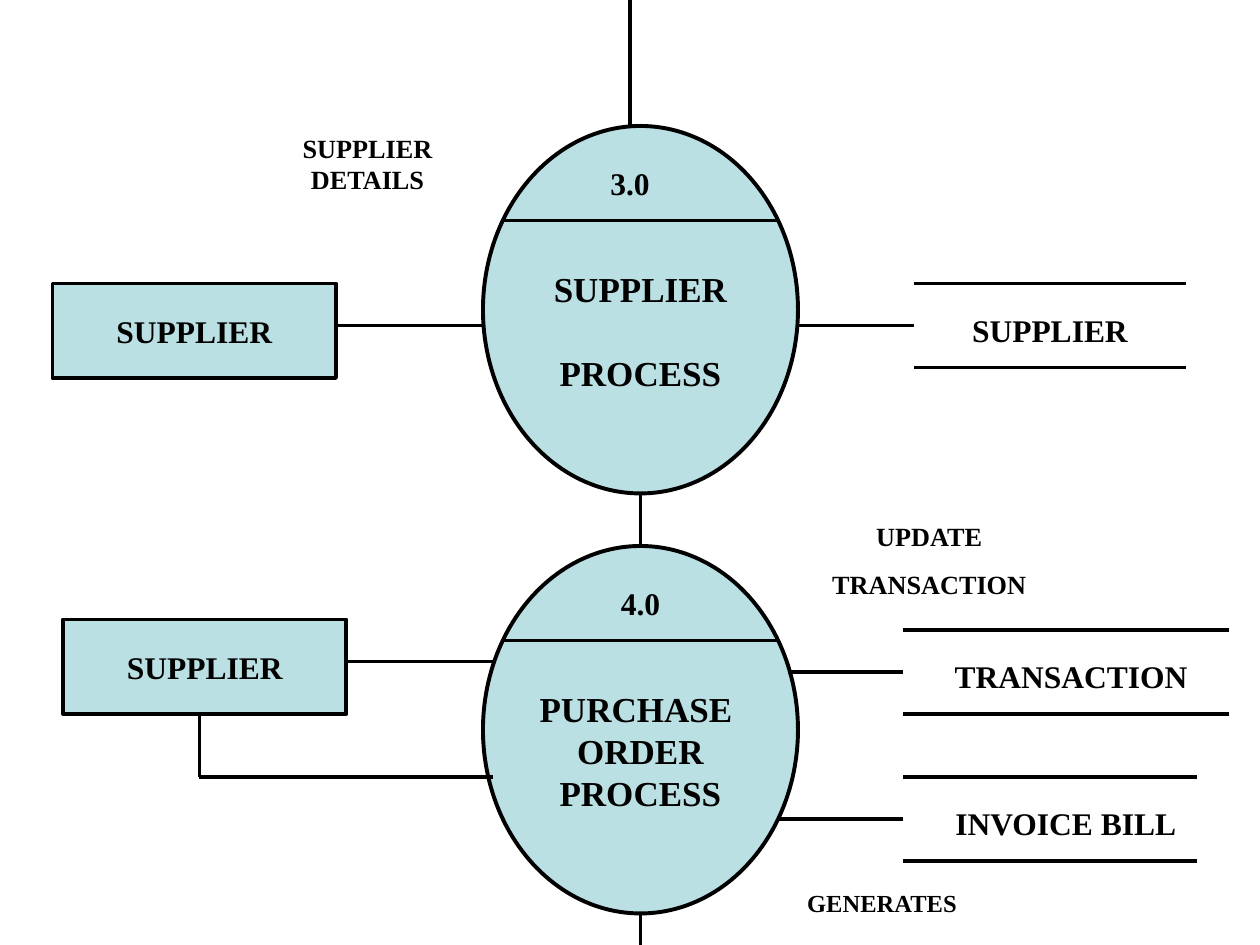
"""Build a data flow diagram slide of the supplier and purchase order processes."""
from lxml.etree import SubElement
from pptx import Presentation
from pptx.dml.color import RGBColor
from pptx.enum.shapes import MSO_CONNECTOR, MSO_SHAPE
from pptx.enum.text import MSO_ANCHOR, MSO_AUTO_SIZE, PP_ALIGN
from pptx.oxml.ns import qn
from pptx.util import Pt

BLACK = RGBColor(0x00, 0x00, 0x00)
PALE_BLUE = RGBColor(0xBB, 0xE0, 0xE3)


class DataFlowDiagram:
    font_name = "Times New Roman"
    line_width = Pt(2.25)
    process_width, process_height = 180, 210
    entity_width, entity_height = 162, 54

    def __init__(self, slide):
        self.slide = slide

    def set_text(self, text_frame, text, size, space_between=0):
        text_frame.text = text
        for index, paragraph in enumerate(text_frame.paragraphs):
            paragraph.alignment = PP_ALIGN.CENTER
            if index:
                paragraph.space_before = Pt(space_between)
            for run in paragraph.runs:
                run.font.name = self.font_name
                run.font.size = Pt(size)
                run.font.bold = True
                run.font.color.rgb = BLACK

    def block(self, preset, left, top, width, height):
        shape = self.slide.shapes.add_shape(preset, Pt(left), Pt(top), Pt(width), Pt(height))
        shape.shadow.inherit = False
        shape.fill.solid()
        shape.fill.fore_color.rgb = PALE_BLUE
        shape.line.color.rgb = BLACK
        shape.line.width = self.line_width
        shape.text_frame.word_wrap = False
        shape.text_frame.vertical_anchor = MSO_ANCHOR.MIDDLE
        return shape

    def flow(self, start_x, start_y, end_x, end_y):
        connector = self.slide.shapes.add_connector(
            MSO_CONNECTOR.STRAIGHT, Pt(start_x), Pt(start_y), Pt(end_x), Pt(end_y))
        connector.line.color.rgb = BLACK
        connector.line.width = self.line_width
        SubElement(connector.element.spPr, qn("a:effectLst"))

    def label(self, text, left, top, width, height, size=18, space_between=0):
        text_box = self.slide.shapes.add_textbox(Pt(left), Pt(top), Pt(width), Pt(height))
        text_frame = text_box.text_frame
        text_frame.word_wrap = True
        text_frame.auto_size = MSO_AUTO_SIZE.SHAPE_TO_FIT_TEXT
        self.set_text(text_frame, text, size, space_between)

    def process(self, number, name, left, top, number_left, space_between=0):
        shape = self.block(MSO_SHAPE.OVAL, left, top, self.process_width, self.process_height)
        shape.text_frame.margin_top = Pt(27.6)
        self.set_text(shape.text_frame, name, 20, space_between)
        divider_y = top + 54
        self.flow(left + 12, divider_y, left + self.process_width - 12, divider_y)
        self.label(number, number_left, top + 18, 48, 28.8)

    def entity(self, name, left, top, flow_end):
        shape = self.block(MSO_SHAPE.RECTANGLE, left, top, self.entity_width, self.entity_height)
        self.set_text(shape.text_frame, name, 18)
        self.flow(left + self.entity_width, top + 24, flow_end, top + 24)

    def data_store(self, name, left, right, top, label_width, flow_start):
        for edge_y in (top, top + 48):
            self.flow(left, edge_y, right, edge_y)
        self.flow(flow_start, top + 24, left, top + 24)
        self.label(name, 528, top + 12, label_width, 28.8)


def main():
    presentation = Presentation()
    presentation.slide_width, presentation.slide_height = Pt(720), Pt(540)
    diagram = DataFlowDiagram(presentation.slides.add_slide(presentation.slide_layouts[6]))

    diagram.process("3.0", "SUPPLIER\nPROCESS", 276, 72, 336, space_between=24)
    diagram.entity("SUPPLIER", 30, 162, 276)
    diagram.data_store("SUPPLIER", 522, 678, 162, 144, 456)

    diagram.process("4.0", "PURCHASE \nORDER\nPROCESS", 276, 312, 342)
    diagram.entity("SUPPLIER", 36, 354, 282)
    diagram.data_store("TRANSACTION", 516, 702, 360, 168, 450)
    diagram.data_store("INVOICE BILL", 516, 684, 444, 162, 444)

    diagram.flow(360, 0, 360, 72)
    diagram.flow(366, 282, 366, 312)
    diagram.flow(366, 522, 366, 540)
    diagram.flow(114, 408, 114, 444)
    diagram.flow(114, 444, 282, 444)

    diagram.label("SUPPLIER DETAILS", 150, 72, 120, 43.2, size=15)
    diagram.label("UPDATE\nTRANSACTION", 456, 294, 150, 52.6, size=15, space_between=9.4)
    diagram.label("GENERATES", 444, 504, 120, 24.5, size=14)

    presentation.save("out.pptx")


if __name__ == "__main__":
    main()
